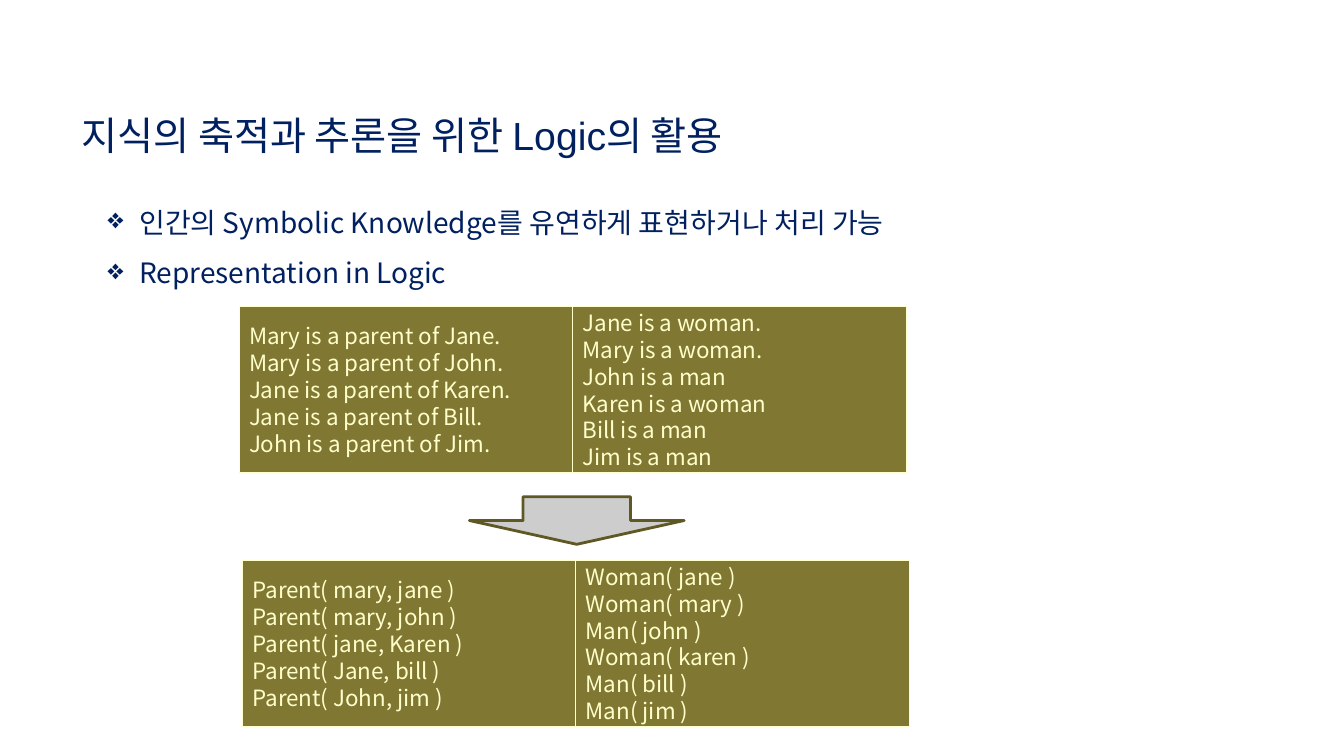
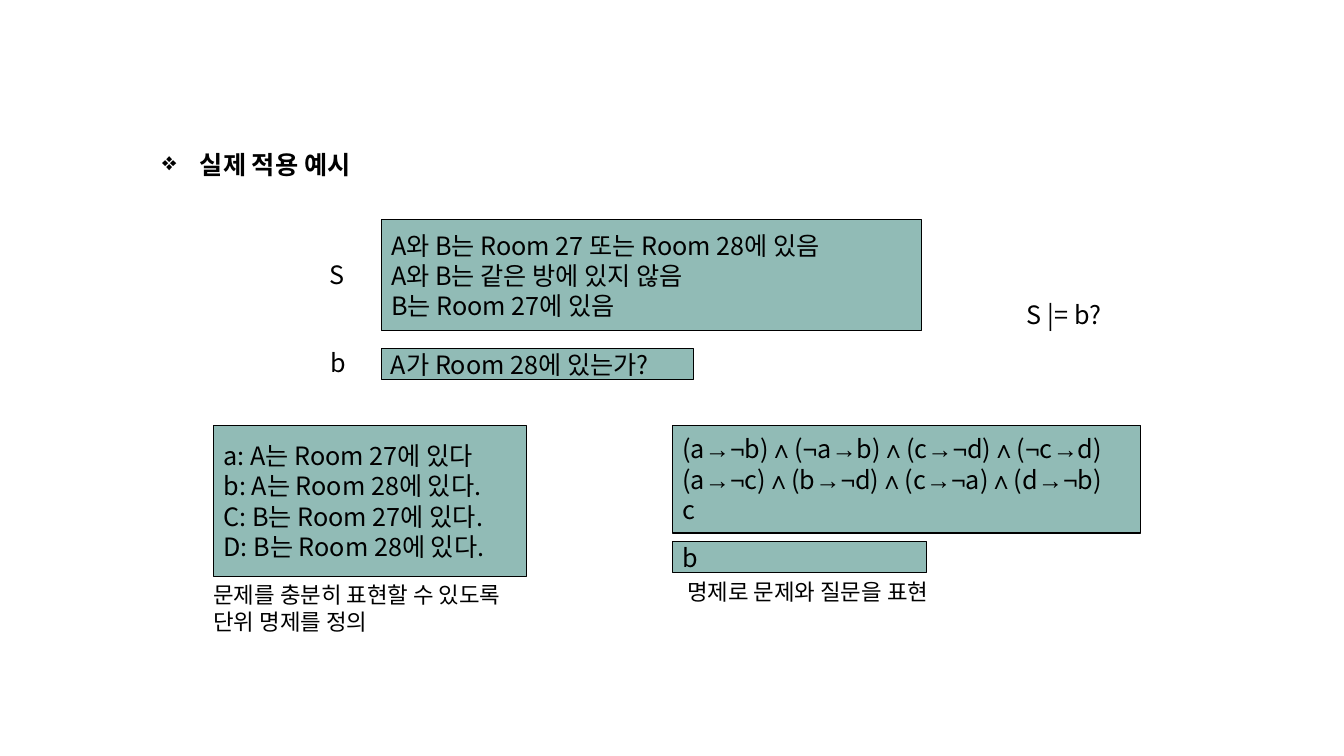
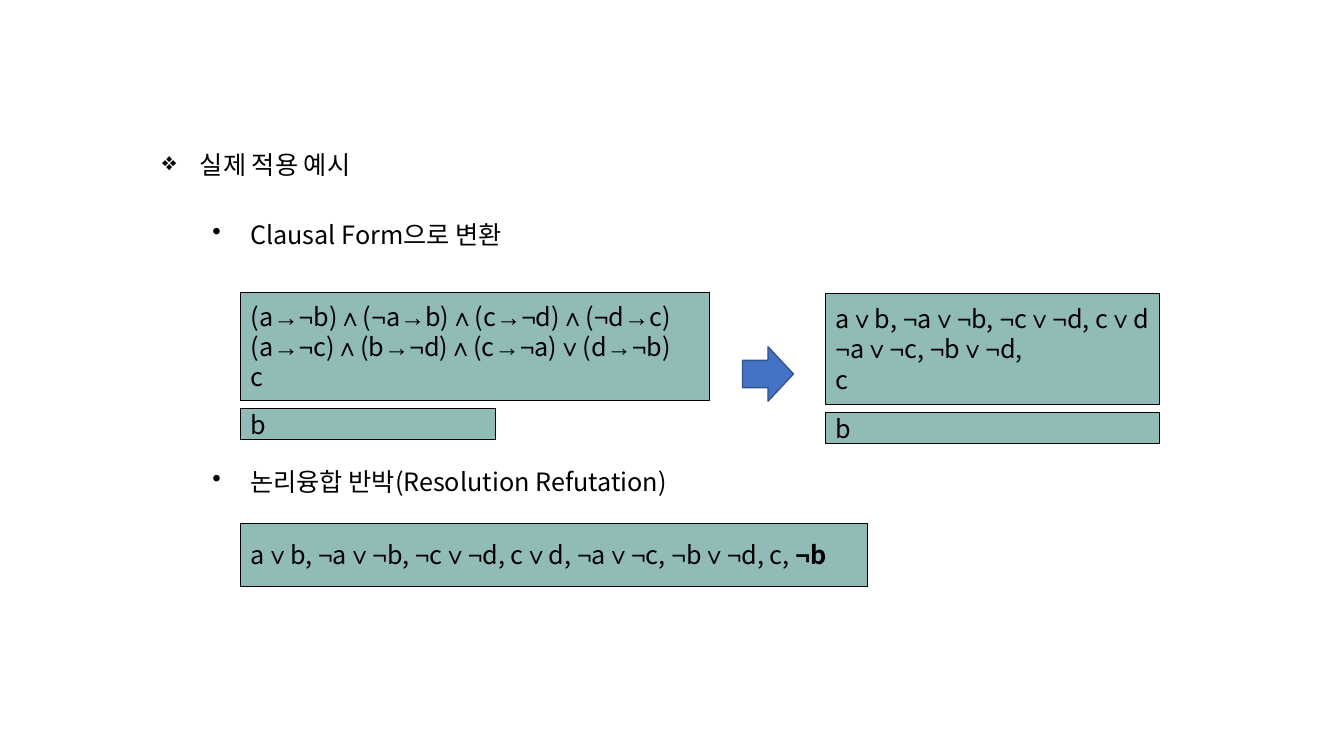
from itertools import groupby

from lxml.etree import SubElement
from pptx import Presentation
from pptx.dml.color import RGBColor
from pptx.enum.shapes import MSO_SHAPE as Preset
from pptx.enum.text import MSO_ANCHOR as Anchor, PP_ALIGN as Align
from pptx.oxml.ns import qn
from pptx.util import Pt

COLORS = {
    "navy": "002060",
    "black": "000000",
    "olive": "807732",
    "dark_olive": "5F5825",
    "cream": "FFFFCC",
    "silver": "CCCDCC",
    "teal": "91BBB6",
    "blue": "4472C4",
    "dark_blue": "325491",
}
BODY_FONT = "Noto Sans CJK KR"
LATIN_FONT = "Arial"
OPERATORS = "→¬∧∨"
LINE_HEIGHT = 22.3
FORMULA_SIZE = (334.8, 77)
FACT_SIZE = (238.2, 118.8)


def rgb(name):
    return RGBColor.from_string(COLORS[name])


def add_runs(paragraph, text, bold=None):
    for is_operator, chars in groupby(text, lambda char: char in OPERATORS):
        run = paragraph.add_run()
        run.text = "".join(chars)
        if is_operator:
            run.font.name = LATIN_FONT
        if bold:
            run.font.bold = True


def write(frame, lines, size, color, font=BODY_FONT):
    for number, line in enumerate(lines):
        paragraph = frame.add_paragraph() if number else frame.paragraphs[0]
        paragraph.alignment = Align.LEFT
        paragraph.font.name = font
        paragraph.font.size = Pt(size)
        paragraph.font.color.rgb = rgb(color)
        add_runs(paragraph, line)


def add_label(slide, x, y, w, h, lines, size=18, color="black", font=BODY_FONT):
    frame = slide.shapes.add_textbox(Pt(x), Pt(y), Pt(w), Pt(h)).text_frame
    frame.word_wrap = True
    write(frame, lines, size, color, font)
    return frame


def set_bullet(paragraph, char, left, hanging):
    props = paragraph._p.get_or_add_pPr()
    props.set("marL", str(Pt(left)))
    props.set("indent", str(-Pt(hanging)))
    mark = SubElement(props, qn("a:buChar"))
    mark.set("char", char)
    defaults = props.find(qn("a:defRPr"))
    if defaults is not None:
        defaults.addprevious(mark)


def add_preset(slide, preset, x, y, w, h, fill, line, weight):
    shape = slide.shapes.add_shape(preset, Pt(x), Pt(y), Pt(w), Pt(h))
    shape.shadow.inherit = False
    shape.fill.solid()
    shape.fill.fore_color.rgb = rgb(fill)
    shape.line.color.rgb = rgb(line)
    shape.line.width = Pt(weight)
    return shape


def add_panel(slide, x, y, w, h, lines, size=18, fill="teal", ink="black"):
    panel = add_preset(slide, Preset.RECTANGLE, x, y, w, h, fill, ink, 0.75)
    frame = panel.text_frame
    frame.word_wrap = False
    frame.vertical_anchor = Anchor.MIDDLE
    write(frame, lines, size, ink)
    return frame


def add_fact_row(slide, x, y, columns):
    w, h = FACT_SIZE
    for number, facts in enumerate(columns):
        add_panel(slide, x + number * w, y, w, h, facts, 16, "olive", "cream")


def add_premises_and_goal(slide, x, y, w, h, premises, goal_width):
    add_panel(slide, x, y, w, h, premises)
    add_panel(slide, x, y + h + 6, goal_width, LINE_HEIGHT, ["b"])


def add_example_heading(slide, width, height, subheadings=()):
    frame = add_label(slide, 108.7, 103, width, height, ["실제 적용 예시", *[text for text, _ in subheadings]])
    heading, *points = frame.paragraphs
    set_bullet(heading, "❖", 27, 27)
    for point, (_, gap) in zip(points, subheadings):
        point.level = 1
        point.space_before = Pt(gap)
        set_bullet(point, "•", 63, 27)
    return heading


def build_logic_slide(slide):
    title = add_label(slide, 51, 59, 847.5, 52, ["지식의 축적과 추론을 위한 Logic의 활용"], 28, "navy", LATIN_FONT)
    title.paragraphs[0].line_spacing = 1.5

    points = add_label(slide, 77, 134.6, 765.4, 67.7, [
        "인간의 Symbolic Knowledge를 유연하게 표현하거나 처리 가능",
        "Representation in Logic",
    ], 20, "navy")
    points.margin_left = points.margin_right = points.margin_top = points.margin_bottom = 0
    for point in points.paragraphs:
        point.alignment = Align.JUSTIFY
        point.line_spacing = 1.5
        set_bullet(point, "❖", 22.5, 22.5)

    add_fact_row(slide, 170.8, 218.9, [
        ["Mary is a parent of Jane.", "Mary is a parent of John.", "Jane is a parent of Karen.",
         "Jane is a parent of Bill.", "John is a parent of Jim."],
        ["Jane is a woman.", "Mary is a woman.", "John is a man",
         "Karen is a woman", "Bill is a man", "Jim is a man"],
    ])
    add_fact_row(slide, 173.2, 400.3, [
        ["Parent( mary, jane )", "Parent( mary, john )", "Parent( jane, Karen )",
         "Parent( Jane, bill )", "Parent( John, jim )"],
        ["Woman( jane )", "Woman( mary )", "Man( john )",
         "Woman( karen )", "Man( bill )", "Man( jim )"],
    ])
    add_preset(slide, Preset.DOWN_ARROW, 335.3, 354.8, 153.4, 34, "silver", "dark_olive", 2)


def build_proposition_slide(slide):
    heading = add_example_heading(slide, 163.4, 28.8)
    heading.font.bold = True

    add_panel(slide, 272.2, 157, 386, 79.2, [
        "A와 B는 Room 27 또는 Room 28에 있음",
        "A와 B는 같은 방에 있지 않음",
        "B는 Room 27에 있음",
    ])
    add_panel(slide, 272.2, 249, 223.2, LINE_HEIGHT, ["A가 Room 28에 있는가?"])
    add_label(slide, 228.2, 181.4, 32.4, 28.8, ["S"])
    add_label(slide, 229, 244.8, 27, 28.8, ["b"])
    add_label(slide, 726.5, 210.2, 85.7, 28.8, ["S |= b?"])

    add_panel(slide, 152.6, 303.8, 223.2, 108, [
        "a: A는 Room 27에 있다",
        "b: A는 Room 28에 있다.",
        "C: B는 Room 27에 있다.",
        "D: B는 Room 28에 있다.",
    ])
    add_label(slide, 145.4, 411.8, 246.2, 46, ["문제를 충분히 표현할 수 있도록", "단위 명제를 정의"], 16)

    add_premises_and_goal(slide, 480.2, 303.8, *FORMULA_SIZE, [
        "(a→¬b)∧(¬a→b)∧(c→¬d)∧(¬c→d)",
        "(a→¬c)∧(b→¬d)∧(c→¬a)∧(d→¬b)",
        "c",
    ], 181.8)
    add_label(slide, 483.8, 409.7, 208.8, 26.6, ["명제로 문제와 질문을 표현"], 16)


def build_resolution_slide(slide):
    add_example_heading(slide, 381.6, 265, [
        ("Clausal Form으로 변환", 28.8),
        ("논리융합 반박(Resolution Refutation)", 154.8),
    ])
    add_premises_and_goal(slide, 172.1, 208.8, *FORMULA_SIZE, [
        "(a→¬b)∧(¬a→b)∧(c→¬d)∧(¬d→c)",
        "(a→¬c)∧(b→¬d)∧(c→¬a)∨(d→¬b)",
        "c",
    ], 181.8)
    add_premises_and_goal(slide, 589.7, 209.5, 238.3, 79.2, [
        "a∨b, ¬a∨¬b, ¬c∨¬d, c∨d",
        "¬a∨¬c, ¬b∨¬d,",
        "c",
    ], 238.3)
    add_preset(slide, Preset.RIGHT_ARROW, 530.4, 247.7, 36.4, 38.9, "blue", "dark_blue", 1)

    refutation = add_panel(slide, 172.1, 373.7, 447.8, 45.4, [
        "a∨b, ¬a∨¬b, ¬c∨¬d, c∨d, ¬a∨¬c, ¬b∨¬d, c, ",
    ])
    add_runs(refutation.paragraphs[0], "¬b", bold=True)


def main():
    deck = Presentation()
    deck.slide_width, deck.slide_height = Pt(960), Pt(540)
    for build in (build_logic_slide, build_proposition_slide, build_resolution_slide):
        build(deck.slides.add_slide(deck.slide_layouts[6]))
    deck.save("out.pptx")


if __name__ == "__main__":
    main()
